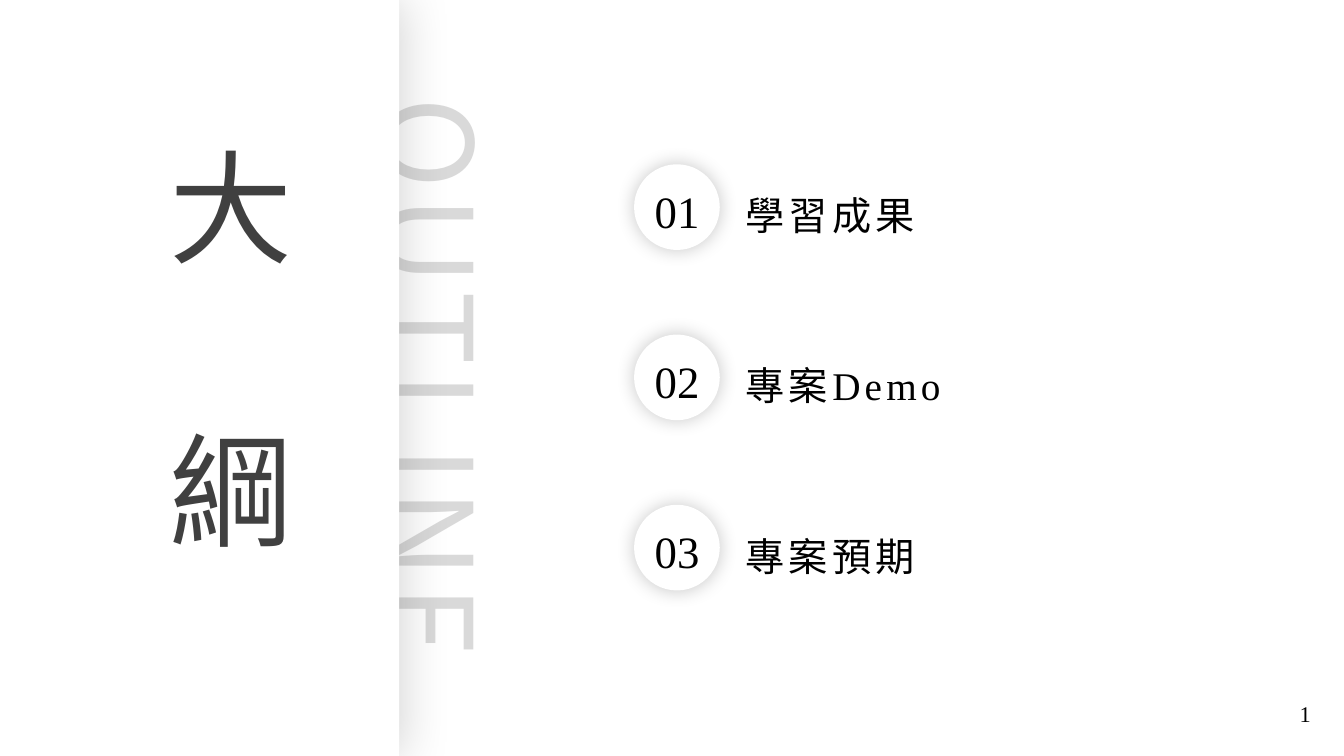
from dataclasses import dataclass

from lxml import etree
from pptx import Presentation, util as u
from pptx.dml.color import RGBColor
from pptx.enum import shapes, text
from pptx.oxml import ns

WHITE = RGBColor(0xFF, 0xFF, 0xFF)
BLACK = RGBColor(0x00, 0x00, 0x00)
CHARCOAL = RGBColor(0x40, 0x40, 0x40)
SILVER = RGBColor(0xD9, 0xD9, 0xD9)

SANS = "Noto Sans CJK SC"
SERIF = "Times New Roman"

SLIDE_WIDTH = 33.87
SLIDE_HEIGHT = 19.05
ROW_PITCH = 4.29


@dataclass(frozen=True)
class Frame:
    left: float
    top: float
    width: float
    height: float

    def lengths(self) -> tuple:
        return tuple(u.Cm(n) for n in (self.left, self.top, self.width, self.height))

    def lowered(self, distance: float) -> "Frame":
        return Frame(self.left, self.top + distance, self.width, self.height)


@dataclass(frozen=True)
class Style:
    size: int
    font: str
    color: RGBColor
    spacing: int = 0
    centered: bool = True


@dataclass(frozen=True)
class Shadow:
    opacity: int
    blur: int
    distance: int


BACKDROP_STYLE = Style(88, SANS, SILVER, spacing=5)
TITLE_STYLE = Style(88, SANS, CHARCOAL)
NUMBER_STYLE = Style(32, SERIF, BLACK)
TOPIC_STYLE = Style(28, SERIF, BLACK, spacing=3, centered=False)
PAGE_NUMBER_STYLE = Style(16, SERIF, BLACK, spacing=3)

PANEL_SHADOW = Shadow(opacity=16, blur=36, distance=3)
BADGE_SHADOW = Shadow(opacity=22, blur=14, distance=0)

PANEL = Frame(0, 0, 10.06, SLIDE_HEIGHT)
BACKDROP = Frame(-2.24, 7.52, 26.26, 4.01)
TITLE = Frame(4.01, 3.18, 2.06, 4.01)
TITLE_PITCH = 7.14
BADGE = Frame(15.98, 4.14, 2.16, 2.16)
NUMBER = Frame(15.77, 4.5, 2.59, 1.63)
TOPIC = Frame(18.54, 4.7, 10.69, 1.45)
PAGE_NUMBER = Frame(32.26, 17.53, 1.27, 0.94)

TOPICS = ("學習成果", "專案Demo", "專案預期")


def add_text(parent, frame: Frame, words: str, style: Style):
    box = parent.shapes.add_textbox(*frame.lengths())
    box.text_frame.word_wrap = True
    box.text_frame.auto_size = text.MSO_AUTO_SIZE.SHAPE_TO_FIT_TEXT
    para = box.text_frame.paragraphs[0]
    para.alignment = text.PP_ALIGN.CENTER if style.centered else text.PP_ALIGN.LEFT
    span = para.add_run()
    span.text = words
    span.font.size = u.Pt(style.size)
    span.font.color.rgb = style.color
    span.font.name = style.font
    properties = span._r.get_or_add_rPr()
    etree.SubElement(properties, ns.qn("a:ea"), typeface=SANS)
    if style.spacing:
        properties.set("spc", str(style.spacing * 100))
    return box


def add_white_shape(parent, kind: shapes.MSO_SHAPE, frame: Frame, shadow: Shadow) -> None:
    shape = parent.shapes.add_shape(kind, *frame.lengths())
    shape.fill.solid()
    shape.fill.fore_color.rgb = WHITE
    shape.line.fill.background()
    shape.shadow.inherit = False
    effects = shape._element.spPr.find(ns.qn("a:effectLst"))
    outer = etree.SubElement(
        effects,
        ns.qn("a:outerShdw"),
        blurRad=str(u.Pt(shadow.blur)),
        dist=str(u.Pt(shadow.distance)),
        dir="0",
        algn="ctr",
        rotWithShape="0",
    )
    color = etree.SubElement(outer, ns.qn("a:srgbClr"), val=str(BLACK))
    etree.SubElement(color, ns.qn("a:alpha"), val=str(shadow.opacity * 1000))


def add_topic(page, index: int, topic: str) -> None:
    drop = index * ROW_PITCH
    group = page.shapes.add_group_shape()
    add_white_shape(group, shapes.MSO_SHAPE.OVAL, BADGE.lowered(drop), BADGE_SHADOW)
    add_text(group, NUMBER.lowered(drop), f"{index + 1:02d}", NUMBER_STYLE)
    add_text(group, TOPIC.lowered(drop), topic, TOPIC_STYLE)


def main() -> None:
    deck = Presentation()
    deck.slide_width = u.Cm(SLIDE_WIDTH)
    deck.slide_height = u.Cm(SLIDE_HEIGHT)
    page = deck.slides.add_slide(deck.slide_layouts[6])
    page.background.fill.solid()
    page.background.fill.fore_color.rgb = WHITE

    backdrop = add_text(page, BACKDROP, "OUTLINE", BACKDROP_STYLE)
    backdrop.rotation = 90
    add_white_shape(page, shapes.MSO_SHAPE.RECTANGLE, PANEL, PANEL_SHADOW)
    for index, character in enumerate("大綱"):
        add_text(page, TITLE.lowered(index * TITLE_PITCH), character, TITLE_STYLE)
    for index, topic in enumerate(TOPICS):
        add_topic(page, index, topic)
    add_text(page, PAGE_NUMBER, "1", PAGE_NUMBER_STYLE)

    deck.save("out.pptx")


if __name__ == "__main__":
    main()
